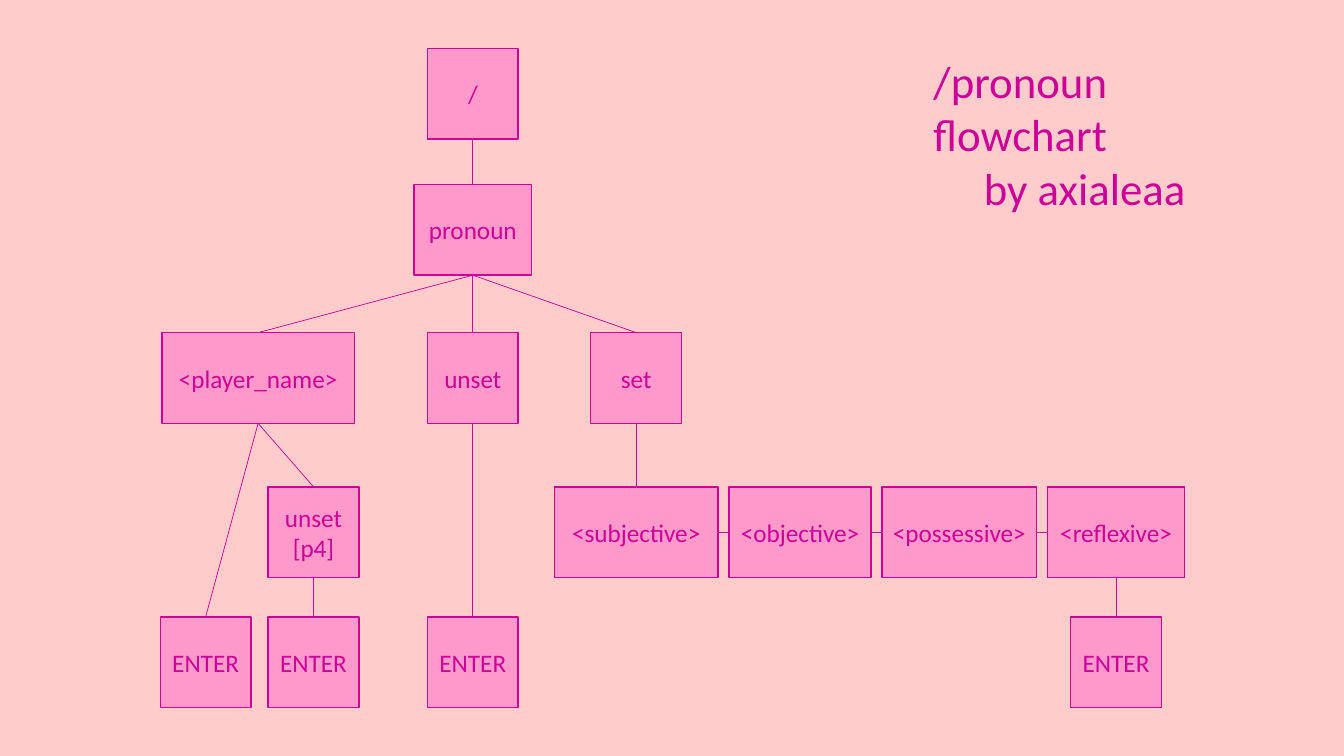
"""Build the /pronoun command flowchart slide."""
from lxml import etree
from pptx import Presentation
from pptx import util as u
from pptx.dml.color import RGBColor
from pptx.enum import shapes, text
from pptx.oxml.ns import qn

COLOURS = {"background": "FFCCCC", "node": "FF99CC", "ink": "CC0099"}
FONT = "Calibri"
SIDE = 0.9
GAP = 0.11
ROWS = {"root": 0.48, "command": 1.83, "choice": 3.3, "argument": 4.83, "enter": 6.12}
TOP, LEFT, BOTTOM, RIGHT = range(4)


def colour(name):
    """Return the named palette colour."""
    return RGBColor.from_string(COLOURS[name])


def write(frame, lines, size, align):
    """Write one paragraph per line in the slide's font."""
    frame.text = "\n".join(lines)
    for paragraph in frame.paragraphs:
        paragraph.alignment = align
        paragraph.font.name = FONT
        paragraph.font.size = u.Pt(size)
        paragraph.font.color.rgb = colour("ink")


def add_node(slide, centre, row, *lines, width=SIDE):
    """Add a labelled node centred across on the given position."""
    node = slide.shapes.add_shape(
        shapes.MSO_SHAPE.RECTANGLE, u.Inches(centre - width / 2),
        u.Inches(ROWS[row]), u.Inches(width), u.Inches(SIDE))
    node.shadow.inherit = False
    node.fill.solid()
    node.fill.fore_color.rgb = colour("node")
    node.line.color.rgb = colour("ink")
    node.line.width = u.Pt(1)
    node.text_frame.word_wrap = False
    write(node.text_frame, lines, 18, text.PP_ALIGN.CENTER)
    return node


def join(slide, parent, child, start=BOTTOM, end=TOP):
    """Join two nodes with a thin line."""
    link = slide.shapes.add_connector(shapes.MSO_CONNECTOR.STRAIGHT, 0, 0, 0, 0)
    link.begin_connect(parent, start)
    link.end_connect(child, end)
    link.line.color.rgb = colour("ink")
    link.line.width = u.Pt(0.5)
    etree.SubElement(link._element.spPr, qn("a:effectLst"))


def add_trunk(slide, centre):
    """Add the slash and the command name, and return the latter."""
    slash = add_node(slide, centre, "root", "/")
    pronoun = add_node(slide, centre, "command", "pronoun", width=1.17)
    join(slide, slash, pronoun)
    return pronoun


def add_player_branch(slide, centre, pronoun):
    """Add the player name branch with its two endings."""
    player = add_node(slide, centre, "choice", "<player_name>", width=1.91)
    unset = add_node(slide, centre + 0.55, "argument", "unset", "[p4]")
    plain_enter = add_node(slide, centre - 0.52, "enter", "ENTER")
    unset_enter = add_node(slide, centre + 0.55, "enter", "ENTER")
    for parent, child in ((pronoun, player), (player, unset),
                          (player, plain_enter), (unset, unset_enter)):
        join(slide, parent, child)


def add_unset_branch(slide, centre, pronoun):
    """Add the unset branch."""
    unset = add_node(slide, centre, "choice", "unset")
    enter = add_node(slide, centre, "enter", "ENTER")
    join(slide, pronoun, unset)
    join(slide, unset, enter)


def add_set_branch(slide, centre, pronoun):
    """Add the set branch with its chain of pronoun forms."""
    previous = add_node(slide, centre, "choice", "set")
    join(slide, pronoun, previous)
    forms = {"<subjective>": 1.62, "<objective>": 1.41,
             "<possessive>": 1.53, "<reflexive>": 1.36}
    left = centre - forms["<subjective>"] / 2
    sides = (BOTTOM, TOP)
    for label, width in forms.items():
        middle = left + width / 2
        form = add_node(slide, middle, "argument", label, width=width)
        join(slide, previous, form, *sides)
        previous, sides = form, (RIGHT, LEFT)
        left += width + GAP
    join(slide, previous, add_node(slide, middle, "enter", "ENTER"))


def add_title(slide, left, top, width, height):
    """Add the title and its author."""
    title = slide.shapes.add_textbox(*map(u.Inches, (left, top, width, height)))
    title.text_frame.word_wrap = True
    write(title.text_frame, ("/pronoun flowchart", "\tby axialeaa"), 32,
          text.PP_ALIGN.LEFT)


def main():
    """Build and save the slide."""
    deck = Presentation()
    deck.slide_width, deck.slide_height = u.Inches(13.33), u.Inches(7.5)
    slide = deck.slides.add_slide(deck.slide_layouts[6])
    slide.background.fill.solid()
    slide.background.fill.fore_color.rgb = colour("background")
    pronoun = add_trunk(slide, 4.69)
    add_player_branch(slide, 2.56, pronoun)
    add_unset_branch(slide, 4.69, pronoun)
    add_set_branch(slide, 6.31, pronoun)
    add_title(slide, 9.16, ROWS["root"], 3.58, 1.18)
    deck.save("out.pptx")


if __name__ == "__main__":
    main()
